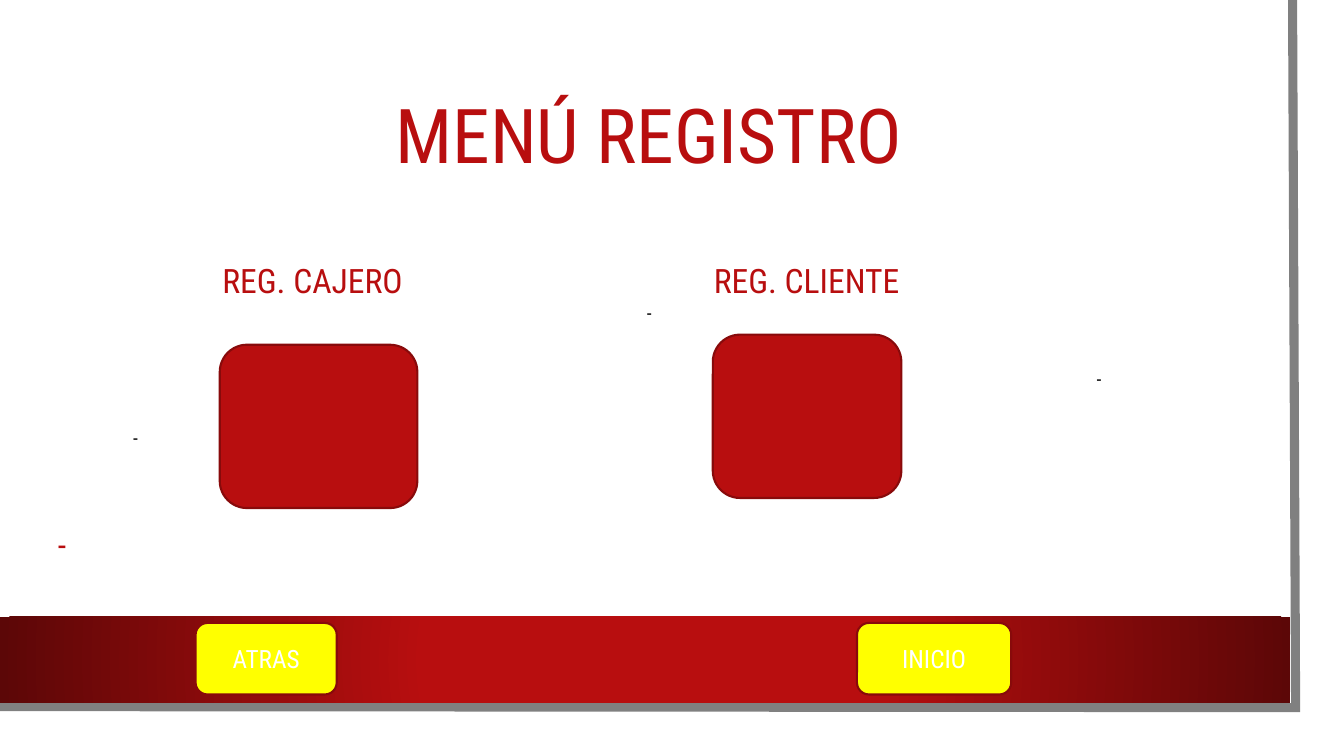
from lxml import etree
from pptx import Presentation
from pptx.dml.color import RGBColor
from pptx.enum.shapes import MSO_SHAPE
from pptx.enum.text import MSO_ANCHOR, MSO_AUTO_SIZE, PP_ALIGN
from pptx.oxml import parse_xml
from pptx.util import Inches, Pt

RECTANGLE = MSO_SHAPE.RECTANGLE
ROUNDED = MSO_SHAPE.ROUNDED_RECTANGLE
TOP, MIDDLE, BOTTOM = MSO_ANCHOR.TOP, MSO_ANCHOR.MIDDLE, MSO_ANCHOR.BOTTOM
NO_AUTOFIT = MSO_AUTO_SIZE.NONE
CENTER = PP_ALIGN.CENTER

FONT = "Roboto Condensed"
RED, DARK_RED, DEEP_RED = "B80E0F", "880A0B", "5C0707"
YELLOW, WHITE, BLACK, GREY = "FFFF00", "FFFFFF", "000000", "808080"
DRAWING = "http://schemas.openxmlformats.org/drawingml/2006/main"
GLOW = f"""<a:gradFill xmlns:a="{DRAWING}" rotWithShape="1"><a:gsLst>
<a:gs pos="34000"><a:srgbClr val="{RED}"/></a:gs>
<a:gs pos="100000"><a:srgbClr val="{DEEP_RED}"/></a:gs></a:gsLst>
<a:path path="circle"><a:fillToRect l="50000" t="50000" r="50000" b="50000"/></a:path>
</a:gradFill>"""


def color(code):
    """Return the colour for a hex string."""
    return RGBColor.from_string(code)


def write(shape, text, size, code, anchor, line_spacing=1.0, space_before=0):
    """Put one centred line of text in a shape."""
    frame = shape.text_frame
    frame.text = text
    frame.word_wrap = True
    frame.auto_size = NO_AUTOFIT
    frame.vertical_anchor = anchor
    para = frame.paragraphs[0]
    para.alignment = CENTER
    para.line_spacing = line_spacing
    para.space_before = Pt(space_before)
    span = para.runs[0]
    span.font.name = FONT
    span.font.size = Pt(size)
    span.font.color.rgb = color(code)


def add_title(page, box, text):
    """Move and format the title placeholder."""
    title = page.shapes.title
    title.left, title.top, title.width, title.height = map(Inches, box)
    write(title, text, 54, RED, MIDDLE, 0.9)


def add_frame(page, box):
    """Draw the grey edge along the right and bottom of the box."""
    left, top, width, height = map(Inches, box)
    right, bottom = left + width, top + height
    builder = page.shapes.build_freeform(right - Inches(0.03), top)
    corner = (right, bottom)
    end = (left, bottom - Inches(0.01))
    builder.add_line_segments([corner, end], close=False)
    edge = builder.convert_to_shape()
    edge.shadow.inherit = False
    edge.fill.background()
    edge.line.color.rgb = color(GREY)
    edge.line.width = Pt(6.5)
    outline = edge.line._get_or_add_ln()
    etree.SubElement(outline, f"{{{DRAWING}}}miter", lim="800000")


def add_label(page, box, text):
    """Add a red heading at the bottom of the box."""
    label = page.shapes.add_textbox(*map(Inches, box))
    write(label, text, 24, RED, BOTTOM, 0.9, 10)


def add_note(page, box, text):
    """Add small black text at the top of the box."""
    note = page.shapes.add_textbox(*map(Inches, box))
    write(note, text, 14, BLACK, TOP, 1.2, 10)


def add_button(page, box, fill, text=""):
    """Add a rounded button, with a caption if there is one."""
    button = page.shapes.add_shape(ROUNDED, *map(Inches, box))
    button.shadow.inherit = False
    button.fill.solid()
    button.fill.fore_color.rgb = color(fill)
    button.line.color.rgb = color(DARK_RED)
    button.line.width = Pt(1.5)
    if text:
        write(button, text, 18, WHITE, MIDDLE)


def add_band(page, box):
    """Add the bottom band, red in the middle and dark at its ends."""
    band = page.shapes.add_shape(RECTANGLE, *map(Inches, box))
    band.shadow.inherit = False
    band.line.fill.background()
    band.fill.background()
    properties = band.element.spPr
    empty_fill = properties.find(f"{{{DRAWING}}}noFill")
    properties.replace(empty_fill, parse_xml(GLOW))


def add_navigation(page, box):
    """Add the bottom band with its two buttons."""
    left, top, width, height = box
    add_band(page, box)
    for offset, button_width, text in ((1.94, 1.4, "ATRAS"), (8.5, 1.53, "INICIO")):
        button_box = (left + offset, top + 0.06, button_width, 0.71)
        add_button(page, button_box, YELLOW, text)


def add_options(page, box):
    """Add the two registration options and the dashes around them."""
    left, top, width, height = box
    options = (
        (0, "REG. CAJERO", 0.89, 1.02, 1.96),
        (4.9, "REG. CLIENTE", 0.88, 0.92, 1.87),
    )
    for offset, text, indent, drop, button_width in options:
        start = left + offset
        add_label(page, (start, top, 3.62, 0.63), text)
        add_button(page, (start + indent, top + drop, button_width, 1.62), RED)
    notes = ((-0.54, 1.73, 1.19, 1.75), (3.34, 0.49, 3.62, 2.99), (7.8, 1.14, 3.62, 2.99))
    for across, down, note_width, note_height in notes:
        add_note(page, (left + across, top + down, note_width, note_height), "-")
    add_label(page, (left - 1.38, top + 2.78, 1.41, 0.47), "-")


def main():
    """Build the registration menu and save it."""
    deck = Presentation()
    deck.slide_width, deck.slide_height = Inches(13.33), Inches(7.5)
    page = deck.slides.add_slide(deck.slide_layouts[5])
    page.background.fill.solid()
    page.background.fill.fore_color.rgb = color(WHITE)
    add_frame(page, (-0.03, 0, 12.88, 7.02))
    add_navigation(page, (0, 6.12, 12.8, 0.85))
    add_title(page, (0.75, 0.75, 11.37, 1.26), "MENÚ REGISTRO")
    add_options(page, (1.29, 2.4, 8.52, 3.48))
    deck.save("out.pptx")


if __name__ == "__main__":
    main()
